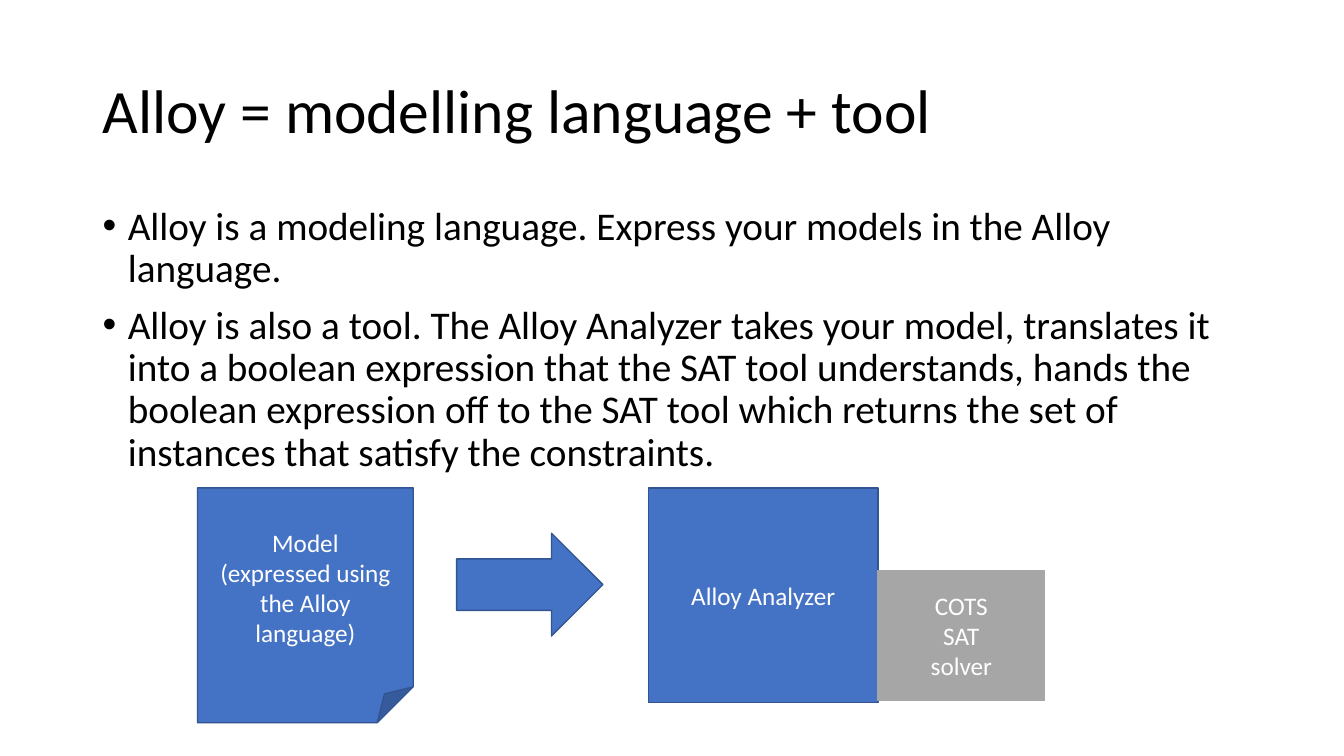
"""Build a slide on Alloy as a modelling language and a tool."""
from lxml import etree
from pptx import Presentation
from pptx import util as u
from pptx.dml.color import RGBColor
from pptx.enum import shapes, text
from pptx.oxml.ns import qn

BLACK = RGBColor(0x00, 0x00, 0x00)
WHITE = RGBColor(0xFF, 0xFF, 0xFF)
BLUE = RGBColor(0x44, 0x72, 0xC4)
NAVY = RGBColor(0x32, 0x54, 0x91)
GREY = RGBColor(0xA6, 0xA6, 0xA6)

deck = Presentation()
deck.slide_width = u.Inches(13.33)
deck.slide_height = u.Inches(7.5)
slide = deck.slides.add_slide(deck.slide_layouts[6])


def place(left, top, width, height):
    """Turn percentages of the slide into lengths."""
    wide, high = deck.slide_width / 100, deck.slide_height / 100
    return [round(n) for n in (left * wide, top * high, width * wide, height * high)]


def write(shape, lines, size, color=BLACK, align=text.PP_ALIGN.LEFT,
          anchor=text.MSO_ANCHOR.MIDDLE, pitch=None, gap=0, bullet=None):
    """Fill a shape with one paragraph per line."""
    frame = shape.text_frame
    frame.word_wrap = True
    frame.vertical_anchor = anchor
    for i, line in enumerate(lines):
        para = frame.add_paragraph() if i else frame.paragraphs[0]
        para.text = line
        para.alignment = align
        para.line_spacing = pitch
        para.space_before = u.Pt(gap if i else 0)
        if bullet:
            props = para._p.get_or_add_pPr()
            props.set("marL", str(u.Inches(0.25)))
            props.set("indent", str(-u.Inches(0.25)))
            etree.SubElement(props, qn("a:buFont"), typeface="Arial")
            etree.SubElement(props, qn("a:buChar"), char=bullet)
        para.font.name = "Calibri"
        para.font.size = u.Pt(size)
        para.font.color.rgb = color


title = slide.shapes.add_textbox(*place(6.9, 5.33, 86.27, 19.33))
write(title, ["Alloy = modelling language + tool"], 44, pitch=0.9)

body = slide.shapes.add_textbox(*place(6.9, 26.67, 86.27, 37.87))
write(body, [
    "Alloy is a modeling language. Express your models in the Alloy language.",
    "Alloy is also a tool. The Alloy Analyzer takes your model, translates it "
    "into a boolean expression that the SAT tool understands, hands the boolean "
    "expression off to the SAT tool which returns the set of instances that "
    "satisfy the constraints.",
], 28, anchor=text.MSO_ANCHOR.TOP, pitch=0.9, gap=10, bullet="•")

kind = shapes.MSO_SHAPE
parts = [
    (kind.FOLDED_CORNER, (14.7, 64.53, 16.05, 31.07), BLUE, NAVY,
     ["Model", "(expressed using the Alloy language)"]),
    (kind.RIGHT_ARROW, (33.98, 70.53, 10.88, 13.6), BLUE, NAVY, []),
    (kind.RECTANGLE, (48.24, 64.53, 17.1, 28.4), BLUE, NAVY, ["Alloy Analyzer"]),
    (kind.RECTANGLE, (65.34, 75.47, 12.38, 17.2), GREY, GREY,
     ["COTS", "SAT", "solver"]),
]
flow = slide.shapes.add_group_shape()
for form, spot, fill, edge, lines in parts:
    part = flow.shapes.add_shape(form, *place(*spot))
    part.shadow.inherit = False
    part.fill.solid()
    part.fill.fore_color.rgb = fill
    part.line.color.rgb = edge
    part.line.width = u.Pt(1)
    write(part, lines, 18, WHITE, text.PP_ALIGN.CENTER)

deck.save("out.pptx")
